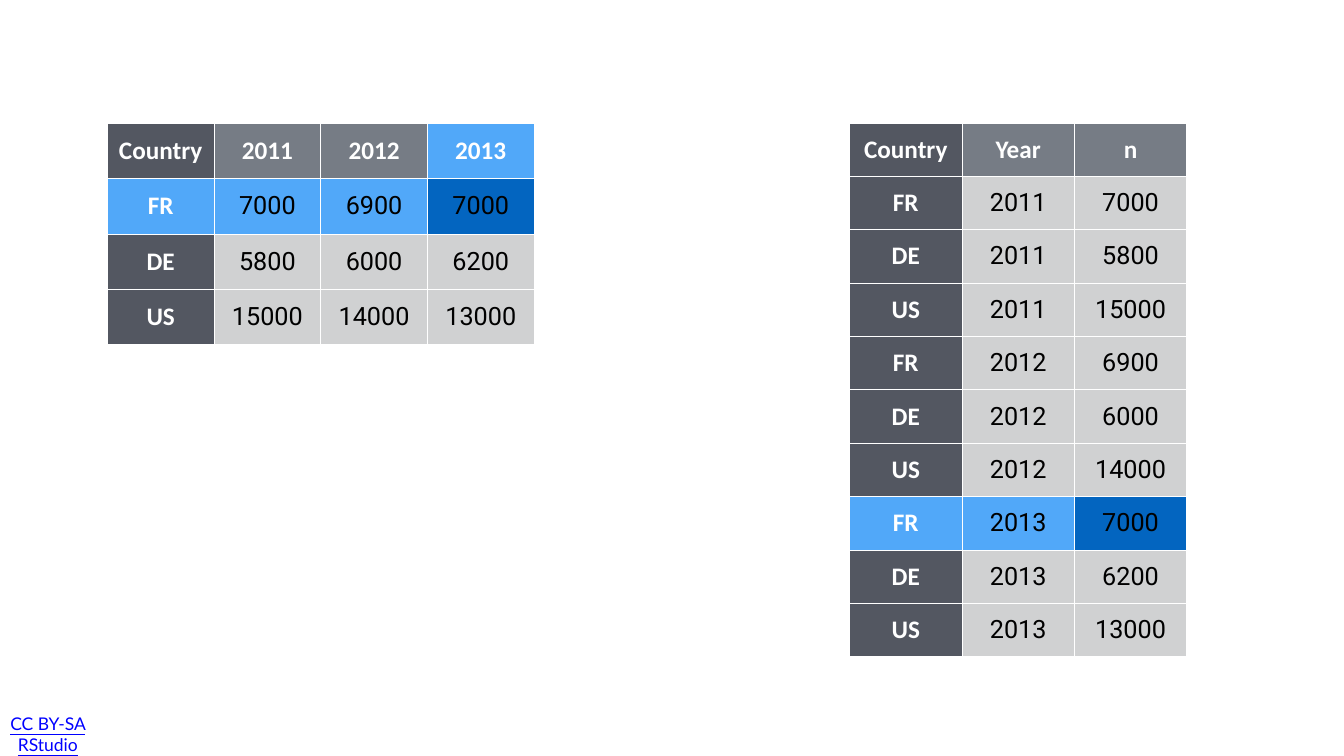
from lxml import etree
from pptx import Presentation
from pptx.dml.color import RGBColor
from pptx.enum import text
from pptx.oxml import ns
from pptx.util import Inches, Pt

WHITE = RGBColor(0xFF, 0xFF, 0xFF)
BLACK = RGBColor(0, 0, 0)
DARK = RGBColor(0x53, 0x57, 0x61)
GREY = RGBColor(0x76, 0x7C, 0x85)
LIGHT = RGBColor(0xD0, 0xD1, 0xD2)
SKY = RGBColor(0x51, 0xA8, 0xF9)
BLUE = RGBColor(0x03, 0x65, 0xC0)
LINK = RGBColor(0, 0, 0xFF)

# Content: the same counts, wide and long
COUNTRIES = ["FR", "DE", "US"]
YEARS = ["2011", "2012", "2013"]
COUNTS = [
    ["7000", "6900", "7000"],
    ["5800", "6000", "6200"],
    ["15000", "14000", "13000"],
]
CREDIT = "CC BY-SA RStudio"

WIDE = [["Country", *YEARS]]
WIDE += [[country, *row] for country, row in zip(COUNTRIES, COUNTS)]
LONG = [["Country", "Year", "n"]]
LONG += [[country, year, COUNTS[i][j]]
         for j, year in enumerate(YEARS) for i, country in enumerate(COUNTRIES)]

# Highlighted cells as (row, column)
WIDE_SKY = {(0, 3), (1, 0), (1, 1), (1, 2)}
LONG_SKY = {(7, 0), (7, 1)}

# Rows, left, top, width, height, sky cells, blue cell
TABLES = [
    (WIDE, 2.13, 2.44, 8.47, 4.4, WIDE_SKY, (1, 3)),
    (LONG, 16.86, 2.44, 6.69, 10.59, LONG_SKY, (7, 2)),
]


def add_borders(cell):
    tcPr = cell._tc.get_or_add_tcPr()
    for side in ("a:lnL", "a:lnR", "a:lnT", "a:lnB"):
        ln = etree.SubElement(tcPr, ns.qn(side), w=str(Pt(1)))
        fill = etree.SubElement(ln, ns.qn("a:solidFill"))
        etree.SubElement(fill, ns.qn("a:srgbClr"), val=str(WHITE))


def fill_cell(cell, value, heading, color):
    cell.margin_left = cell.margin_right = Inches(0.06)
    cell.margin_top = cell.margin_bottom = Inches(0.06)
    cell.vertical_anchor = text.MSO_ANCHOR.MIDDLE
    add_borders(cell)
    cell.fill.solid()
    cell.fill.fore_color.rgb = color
    cell.text_frame.text = value
    p = cell.text_frame.paragraphs[0]
    p.alignment = text.PP_ALIGN.CENTER
    font = p.runs[0].font
    font.size = Pt(36)
    font.name = "Calibri" if heading else "Roboto"
    font.bold = heading
    font.color.rgb = WHITE if heading else BLACK


def add_data_table(s, rows, left, top, width, height, sky, blue):
    table = s.shapes.add_table(len(rows), len(rows[0]), Inches(left), Inches(top),
                               Inches(width), Inches(height)).table
    for i, row in enumerate(rows):
        for j, value in enumerate(row):
            if (i, j) == blue:
                color = BLUE
            elif (i, j) in sky:
                color = SKY
            elif j == 0:
                color = DARK
            else:
                color = GREY if i == 0 else LIGHT
            fill_cell(table.cell(i, j), value, i == 0 or j == 0, color)


prs = Presentation()
prs.slide_width, prs.slide_height = Inches(26.67), Inches(15)
s = prs.slides.add_slide(prs.slide_layouts[6])

# Licence line, bottom left
sp = s.shapes.add_textbox(Inches(0.1), Inches(14.26), Inches(1.7), Inches(0.6))
tf = sp.text_frame
tf.word_wrap = True
tf.vertical_anchor = text.MSO_ANCHOR.MIDDLE
tf.margin_left = tf.margin_right = tf.margin_top = tf.margin_bottom = Inches(0.08)
tf.text = CREDIT
p = tf.paragraphs[0]
p.alignment = text.PP_ALIGN.CENTER
r = p.runs[0]
r.font.name, r.font.size, r.font.underline = "Lato", Pt(25), True
r.font.color.rgb = LINK

# Data tables
for table_args in TABLES:
    add_data_table(s, *table_args)

prs.save("out.pptx")
